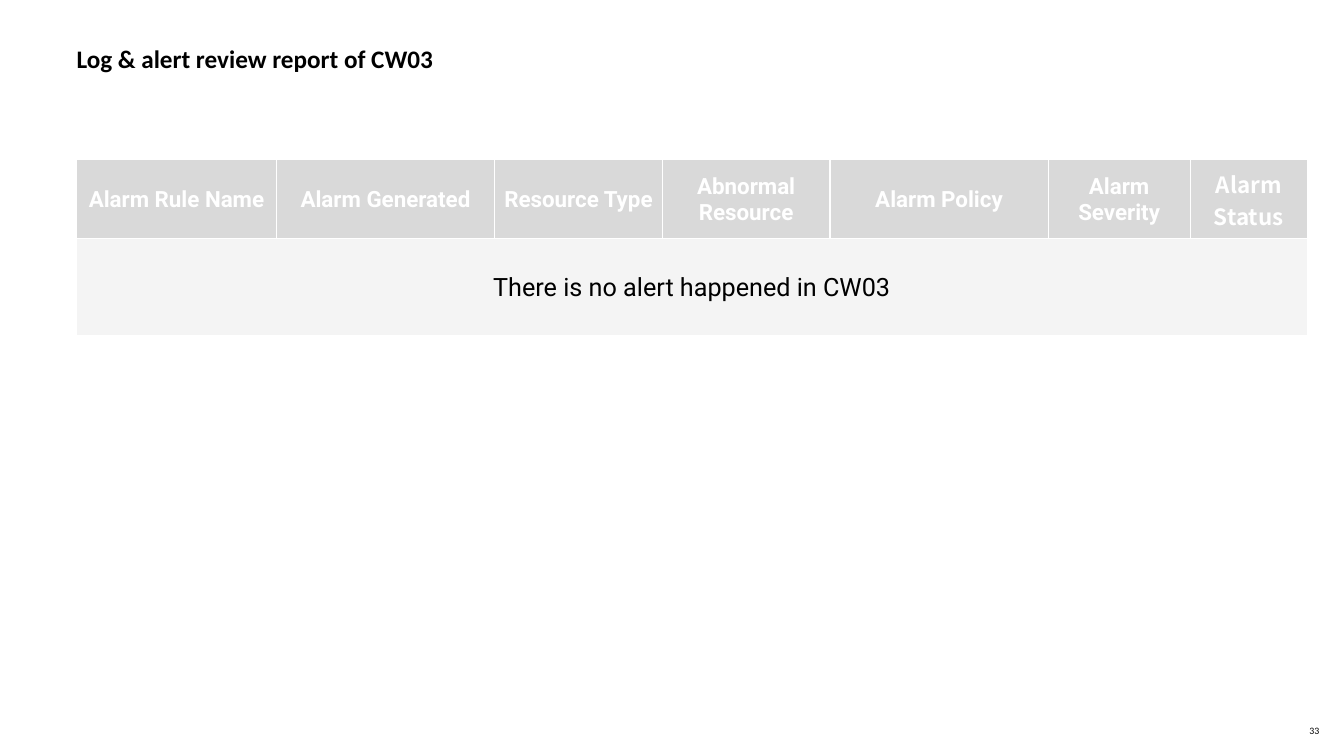
"""Build the weekly log and alert review slide."""
from dataclasses import dataclass

from lxml import etree
from pptx import Presentation
from pptx.dml.color import RGBColor
from pptx.enum.text import MSO_ANCHOR, PP_ALIGN
from pptx.oxml.ns import qn
from pptx.slide import Slide
from pptx.table import _Cell
from pptx.text.text import _Paragraph
from pptx.util import Pt

TOP = MSO_ANCHOR.TOP
MIDDLE = MSO_ANCHOR.MIDDLE
CENTER = PP_ALIGN.CENTER
WHITE, BLACK, HEADER_GREY, BODY_GREY = "FFFFFF", "000000", "D9D9D9", "F4F4F4"
TABLE_LEFT, TABLE_TOP = 54.72, 113.76
HEADER_HEIGHT, BODY_HEIGHT = 56.88, 69.12
CELL_MARGIN = 0.72


@dataclass(frozen=True)
class TextStyle:
    """Font settings of one paragraph."""

    font: str
    size: float
    color: str = BLACK
    bold: bool = False


@dataclass(frozen=True)
class Label:
    """A free-standing text box."""

    text: str
    left: float
    top: float
    width: float
    height: float
    style: TextStyle
    anchor: MSO_ANCHOR
    line_spacing: float = 1.0


@dataclass(frozen=True)
class Column:
    """A table column with its heading."""

    heading: str
    width: float
    font: str = "Roboto"


LABELS = [
    Label("33", 935.28, 515.52, 24.5, 12.24, TextStyle("Calibri", 7), MIDDLE),
    Label("Log & alert review report of CW03", 54.72, 28.8, 892.8, 48.24,
          TextStyle("Calibri", 18, bold=True), TOP, 1.1),
]
COLUMNS = [
    Column("Alarm Rule Name", 142.8),
    Column("Alarm Generated", 155.8),
    Column("Resource Type", 119.8),
    Column("Abnormal Resource", 119.8),
    Column("Alarm Policy", 155.8),
    Column("Alarm Severity", 101.5),
    Column("Alarm Status", 83.6, "Noto Sans CJK SC"),
]
MESSAGE = "There is no alert happened in CW03"


def rgb(color: str) -> RGBColor:
    """Turn a hex string into a colour."""
    return RGBColor.from_string(color)


def write(paragraph: _Paragraph, text: str, style: TextStyle) -> None:
    """Put styled text into a paragraph."""
    paragraph.text = text
    paragraph.font.name = style.font
    paragraph.font.size = Pt(style.size)
    paragraph.font.bold = style.bold
    paragraph.font.color.rgb = rgb(style.color)
    for run in paragraph.runs:
        properties = run.font._element
        etree.SubElement(properties, qn("a:ea"), typeface=style.font)


def add_label(slide: Slide, label: Label) -> None:
    """Add a text box without margins."""
    shape = slide.shapes.add_textbox(
        Pt(label.left), Pt(label.top), Pt(label.width), Pt(label.height))
    frame = shape.text_frame
    frame.word_wrap = True
    frame.vertical_anchor = label.anchor
    frame.margin_left = frame.margin_right = Pt(0)
    frame.margin_top = frame.margin_bottom = Pt(0)
    paragraph = frame.paragraphs[0]
    paragraph.line_spacing = label.line_spacing
    write(paragraph, label.text, label.style)


def format_cell(cell: _Cell, fill: str) -> None:
    """Set the borders, fill and margins of a cell."""
    properties = cell._tc.get_or_add_tcPr()
    for side in ("lnL", "lnR", "lnT", "lnB"):
        line = etree.SubElement(properties, qn(f"a:{side}"), w=str(Pt(1)))
        solid = etree.SubElement(line, qn("a:solidFill"))
        etree.SubElement(solid, qn("a:srgbClr"), val=WHITE)
    cell.fill.solid()
    cell.fill.fore_color.rgb = rgb(fill)
    cell.vertical_anchor = MIDDLE
    cell.margin_left = cell.margin_right = cell.margin_top = Pt(CELL_MARGIN)
    cell.margin_bottom = Pt(0)


def write_cell(cell: _Cell, text: str, style: TextStyle) -> None:
    """Write centred text into a cell."""
    paragraph = cell.text_frame.paragraphs[0]
    paragraph.alignment = CENTER
    write(paragraph, text, style)


def add_alert_table(slide: Slide) -> None:
    """Add the alert table with its headings and message."""
    width = sum(column.width for column in COLUMNS)
    table = slide.shapes.add_table(
        2, len(COLUMNS), Pt(TABLE_LEFT), Pt(TABLE_TOP),
        Pt(width), Pt(HEADER_HEIGHT + BODY_HEIGHT)).table
    table.horz_banding = False
    table.rows[0].height = Pt(HEADER_HEIGHT)
    table.rows[1].height = Pt(BODY_HEIGHT)
    for index, column in enumerate(COLUMNS):
        table.columns[index].width = Pt(column.width)
        header = table.cell(0, index)
        format_cell(header, HEADER_GREY)
        write_cell(header, column.heading, TextStyle(column.font, 16, WHITE, True))
        format_cell(table.cell(1, index), BODY_GREY)
    message_cell = table.cell(1, 0)
    message_cell.merge(table.cell(1, len(COLUMNS) - 1))
    write_cell(message_cell, MESSAGE, TextStyle("Roboto", 18))


def main() -> None:
    """Create and save the presentation."""
    presentation = Presentation()
    presentation.slide_width = Pt(960)
    presentation.slide_height = Pt(540)
    slide = presentation.slides.add_slide(presentation.slide_layouts[6])
    for label in LABELS:
        add_label(slide, label)
    add_alert_table(slide)
    presentation.save("out.pptx")


if __name__ == "__main__":
    main()
